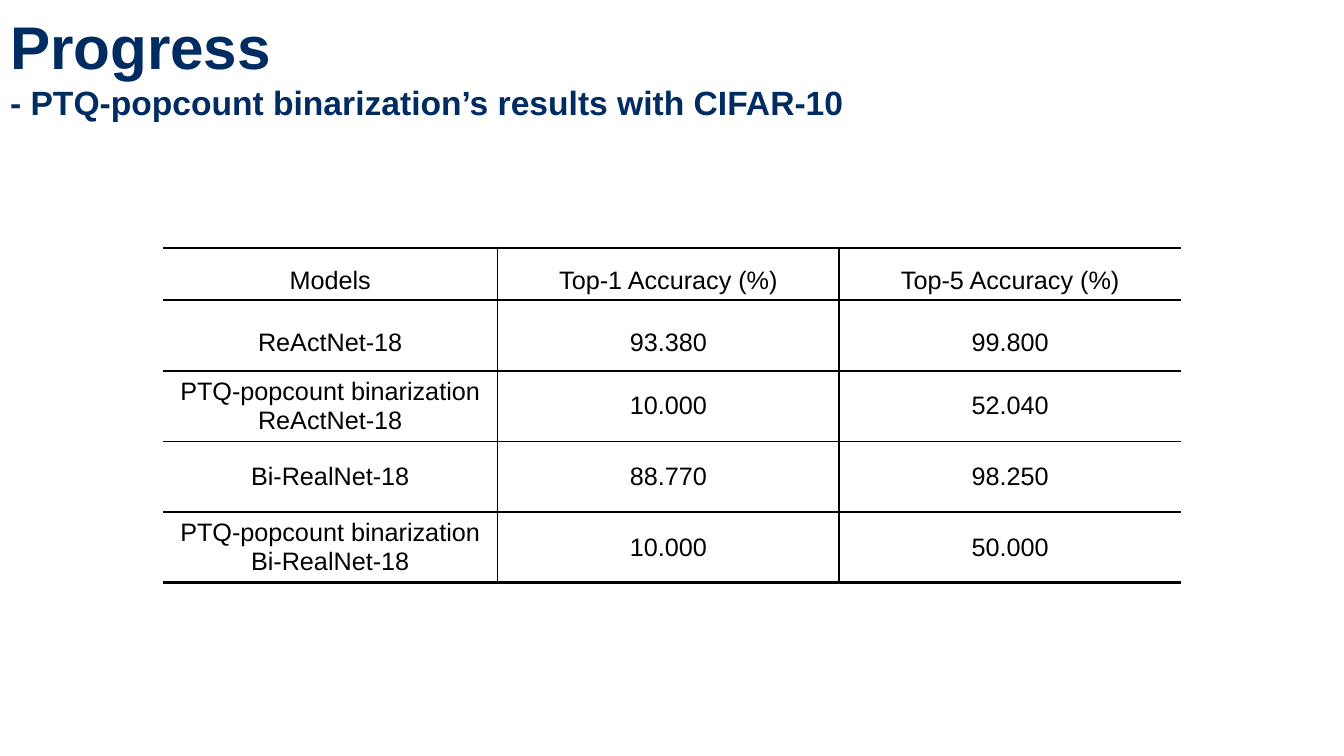
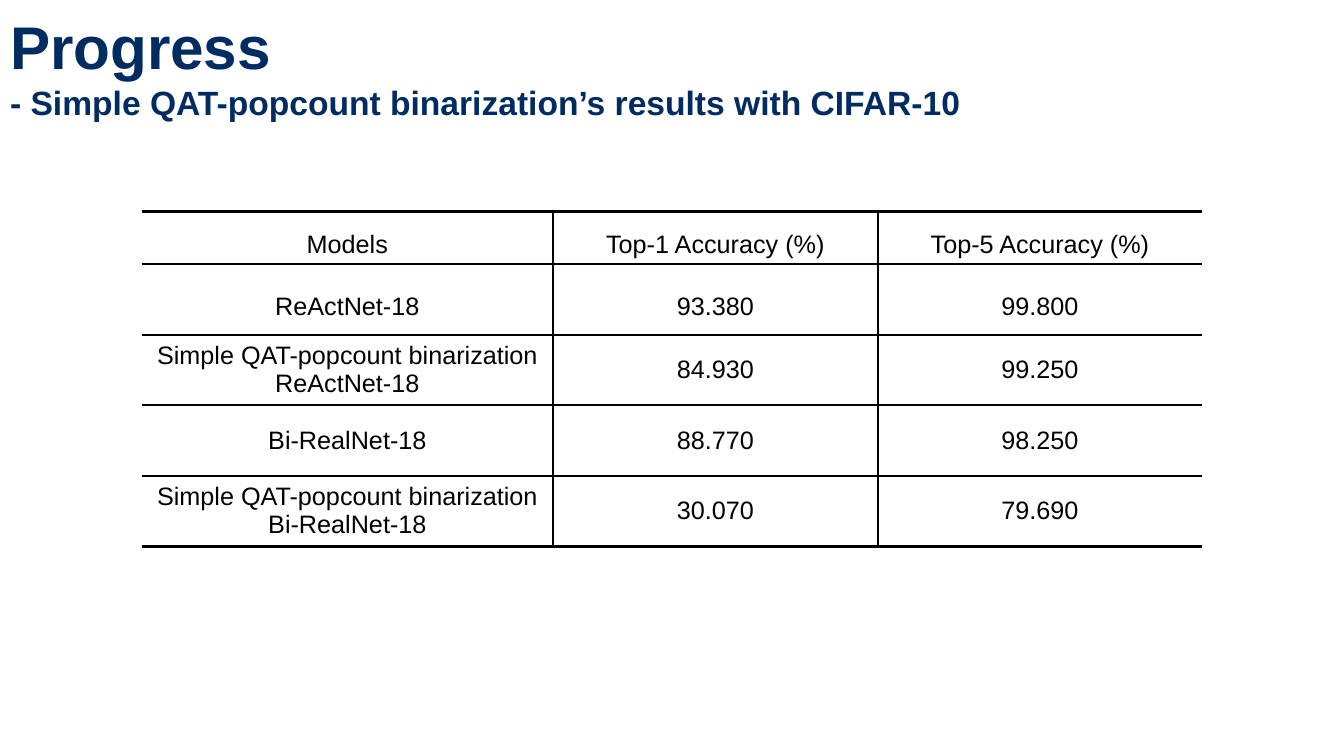
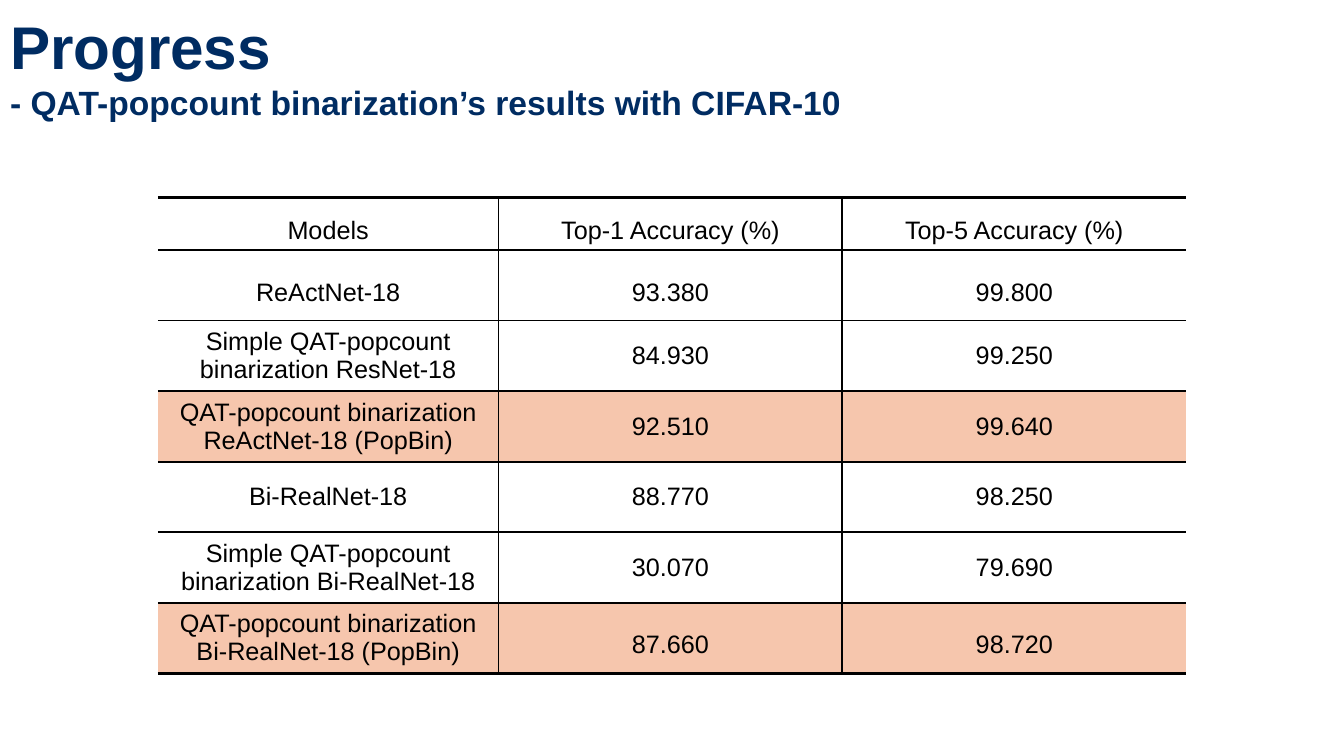
import pptx
import pptx.dml.color
import pptx.enum.text
import pptx.oxml.ns
import pptx.util
from lxml import etree
from pptx.util import Inches, Pt

SLIDE_WIDTH, SLIDE_HEIGHT = 13.33, 7.5
FONT = "Arial"
NAVY, BLACK, PEACH = "002C62", "000000", "F6C6AD"
RULE, HEAVY_RULE = 1.5, 2.25
HEADER_HEIGHT, ROW_HEIGHT = 0.37, 0.7
LOOSE_SPACING = 1.5

HEADER = ("Models", "Top-1 Accuracy (%)", "Top-5 Accuracy (%)")
REACTNET = ("ReActNet-18", "93.380", "99.800")
BI_REALNET = ("Bi-RealNet-18", "88.770", "98.250")


def rgb(color):
    return pptx.dml.color.RGBColor.from_string(color)


def style_font(paragraph, size, color, bold):
    for run in paragraph.runs:
        run.font.name = FONT
        run.font.size = Pt(size)
        run.font.bold = bold
        run.font.color.rgb = rgb(color)


def add_progress_slide(deck, subtitle):
    slide = deck.slides.add_slide(deck.slide_layouts[5])
    title = slide.shapes.title
    title.left = title.top = Inches(0)
    title.width, title.height = Inches(SLIDE_WIDTH), Inches(1.22)
    frame = title.text_frame
    frame.text = f"Progress\n- {subtitle}"
    frame.word_wrap = True
    frame.auto_size = pptx.enum.text.MSO_AUTO_SIZE.NONE
    frame.vertical_anchor = pptx.enum.text.MSO_ANCHOR.MIDDLE
    frame.margin_left = frame.margin_right = Inches(0.1)
    frame.margin_top, frame.margin_bottom = Inches(0.12), Inches(0.03)
    for paragraph, size in zip(frame.paragraphs, (43, 24)):
        paragraph.alignment = pptx.enum.text.PP_ALIGN.LEFT
        style_font(paragraph, size, NAVY, True)
    return slide


def add_border(cell, side, width):
    """Draw one side (L, R, T or B) of a cell; a width of 0 leaves it open."""
    qn = pptx.oxml.ns.qn
    properties = cell._tc.get_or_add_tcPr()
    line = etree.SubElement(properties, qn(f"a:ln{side}"), w=str(Pt(width)))
    if width:
        fill = etree.SubElement(line, qn("a:solidFill"))
        etree.SubElement(fill, qn("a:srgbClr"), val=BLACK)
    else:
        etree.SubElement(line, qn("a:noFill"))


def fill_cell(cell, text, loose, highlighted):
    frame = cell.text_frame
    frame.text = text
    cell.vertical_anchor = pptx.enum.text.MSO_ANCHOR.MIDDLE
    for paragraph in frame.paragraphs:
        paragraph.alignment = pptx.enum.text.PP_ALIGN.CENTER
        if loose:
            paragraph.line_spacing = LOOSE_SPACING
        style_font(paragraph, 18, BLACK, False)
    if highlighted:
        cell.fill.solid()
        cell.fill.fore_color.rgb = rgb(PEACH)
    else:
        cell.fill.background()


def add_accuracy_table(slide, top, widths, results, loose_cells=()):
    """Centre a ruled table; the header, first result and loose_cells are spaced wider."""
    rows = [HEADER, *results]
    heights = [HEADER_HEIGHT] + [ROW_HEIGHT] * len(results)
    last_row, last_column = len(rows) - 1, len(widths) - 1
    table = slide.shapes.add_table(
        len(rows), len(widths), Inches((SLIDE_WIDTH - sum(widths)) / 2),
        Inches(top), Inches(sum(widths)), Inches(sum(heights))).table
    table.first_row = table.horz_banding = False
    for column, width in zip(table.columns, widths):
        column.width = Inches(width)
    for r, (values, height) in enumerate(zip(rows, heights)):
        table.rows[r].height = Inches(height)
        highlighted = values[0].endswith("(PopBin)")
        for c, value in enumerate(values):
            cell = table.cell(r, c)
            add_border(cell, "L", RULE if c > 0 else 0)
            add_border(cell, "R", RULE if c < last_column else 0)
            add_border(cell, "T", RULE if r > 0 else HEAVY_RULE)
            add_border(cell, "B", RULE if r < last_row else HEAVY_RULE)
            fill_cell(cell, value, r < 2 or (r, c) in loose_cells, highlighted)


def main():
    deck = pptx.Presentation()
    deck.slide_width, deck.slide_height = Inches(SLIDE_WIDTH), Inches(SLIDE_HEIGHT)

    slide = add_progress_slide(deck, "PTQ-popcount binarization’s results with CIFAR-10")
    add_accuracy_table(slide, 2.46, (3.32, 3.39, 3.39), [
        REACTNET,
        ("PTQ-popcount binarization\nReActNet-18", "10.000", "52.040"),
        BI_REALNET,
        ("PTQ-popcount binarization\nBi-RealNet-18", "10.000", "50.000"),
    ])

    slide = add_progress_slide(deck, "Simple QAT-popcount binarization’s results with CIFAR-10")
    add_accuracy_table(slide, 2.1, (4.08, 3.22, 3.22), [
        REACTNET,
        ("Simple QAT-popcount binarization\nReActNet-18", "84.930", "99.250"),
        BI_REALNET,
        ("Simple QAT-popcount binarization\nBi-RealNet-18", "30.070", "79.690"),
    ])

    slide = add_progress_slide(deck, "QAT-popcount binarization’s results with CIFAR-10")
    add_accuracy_table(slide, 1.96, (3.38, 3.41, 3.41), [
        REACTNET,
        ("Simple QAT-popcount binarization ResNet-18", "84.930", "99.250"),
        ("QAT-popcount binarization\nReActNet-18 (PopBin)", "92.510", "99.640"),
        BI_REALNET,
        ("Simple QAT-popcount binarization Bi-RealNet-18", "30.070", "79.690"),
        ("QAT-popcount binarization\nBi-RealNet-18 (PopBin)", "87.660", "98.720"),
    ], loose_cells={(6, 1), (6, 2)})

    deck.save("out.pptx")


if __name__ == "__main__":
    main()
